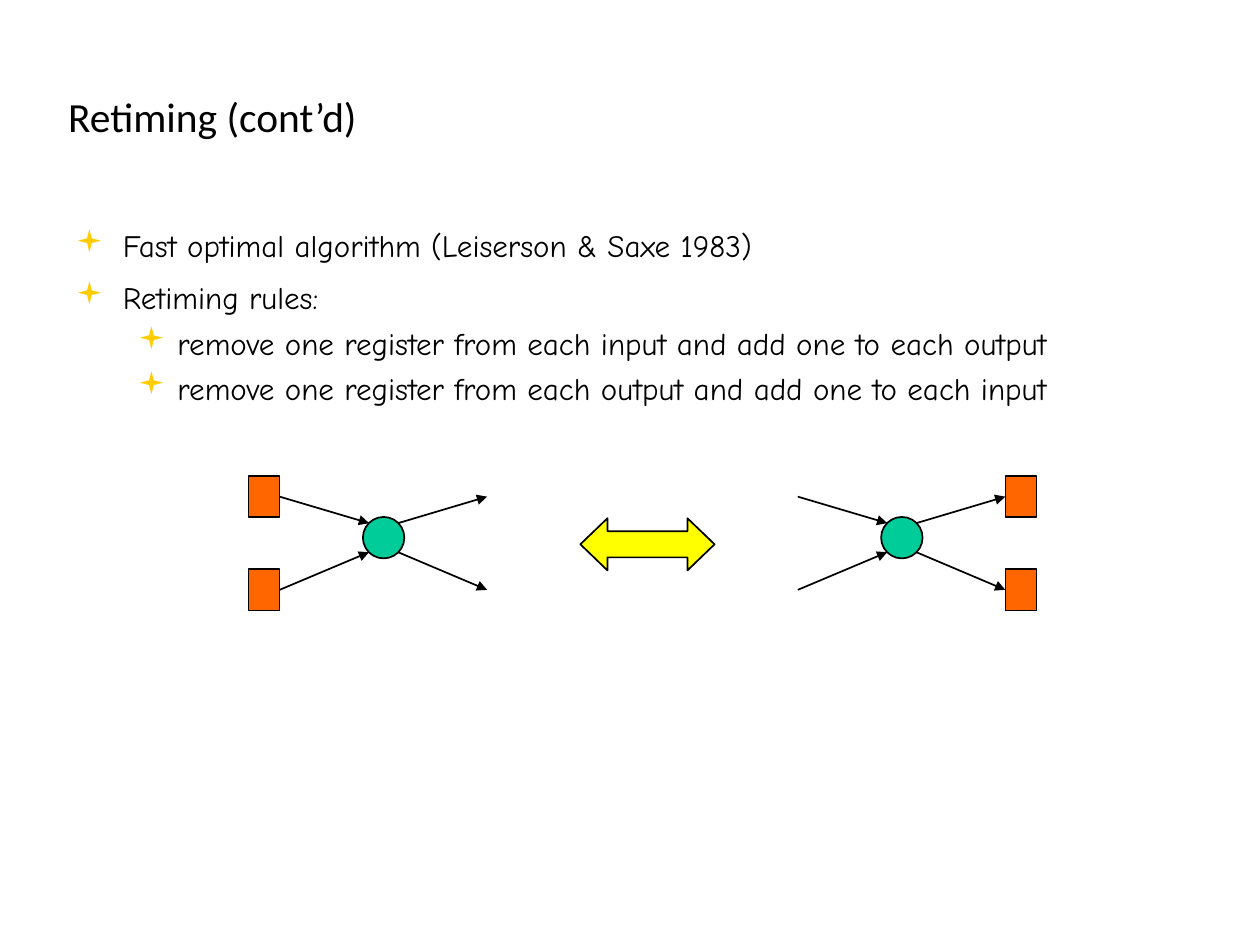
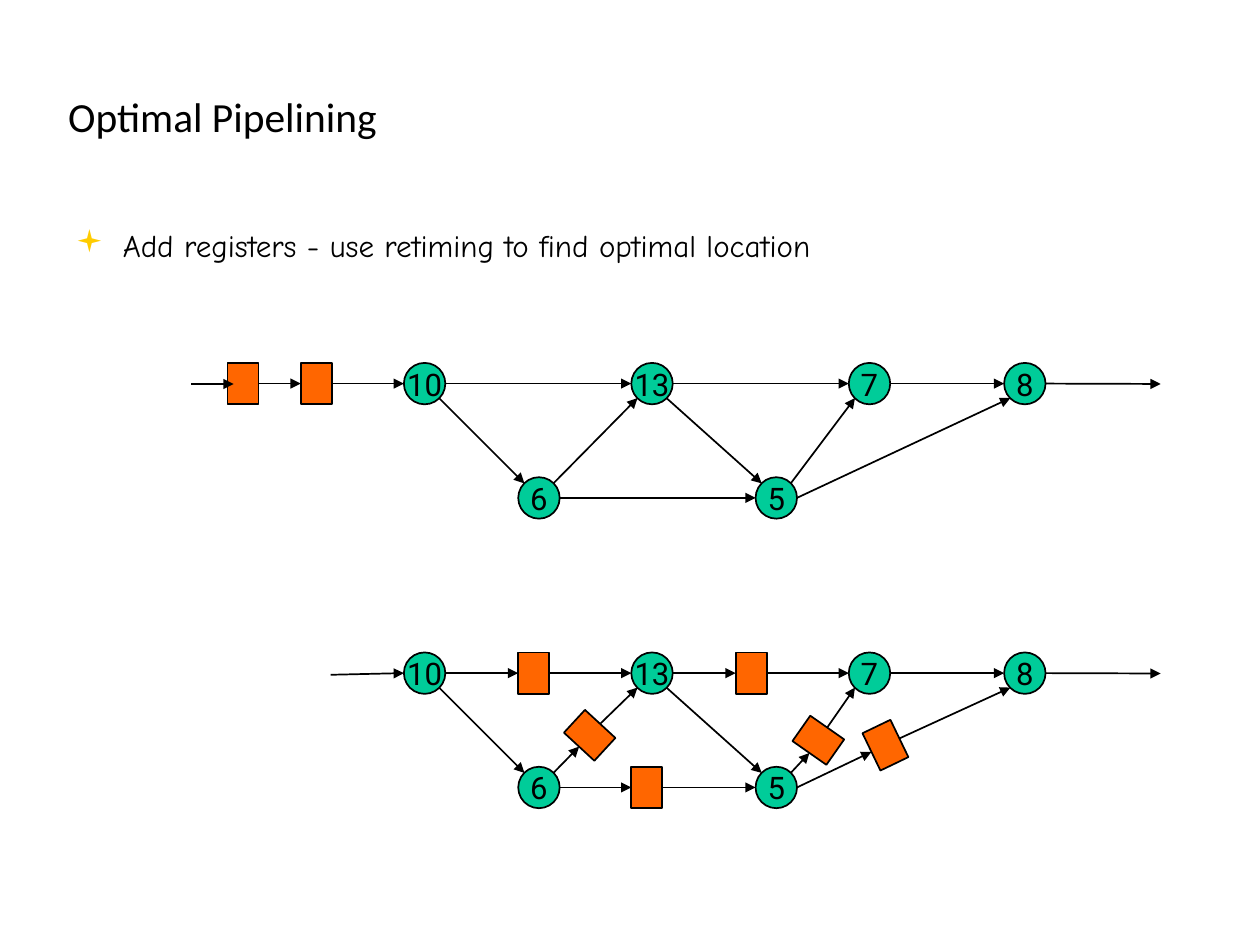
from math import cos, radians, sin

from lxml import etree
from pptx import Presentation
from pptx.dml.color import RGBColor
from pptx.enum.shapes import MSO_CONNECTOR, MSO_SHAPE
from pptx.enum.text import MSO_ANCHOR, PP_ALIGN
from pptx.oxml.ns import qn
from pptx.util import Inches, Pt

STRAIGHT = MSO_CONNECTOR.STRAIGHT
RECT, OVAL, ARROW = MSO_SHAPE.RECTANGLE, MSO_SHAPE.OVAL, MSO_SHAPE.LEFT_RIGHT_ARROW
BOTTOM, MIDDLE, CENTER = MSO_ANCHOR.BOTTOM, MSO_ANCHOR.MIDDLE, PP_ALIGN.CENTER

BLACK = RGBColor(0x00, 0x00, 0x00)
GREEN = RGBColor(0x00, 0xCC, 0x99)
ORANGE = RGBColor(0xFF, 0x66, 0x00)
YELLOW = RGBColor(0xFF, 0xFF, 0x00)
GOLD = RGBColor(0xFF, 0xCC, 0x00)

TITLE_FONT, BODY_FONT, NODE_FONT = "Calibri", "Comic Neue", "Roboto"
BULLET_FONT = "Wingdings"
SLIDE_W, SLIDE_H = 730 / 72, 547.5 / 72
NODE = 1 / 3
REG_W, REG_H = 0.25, 1 / 3
DIAGONAL = 0.35

SITES = {"l": (-0.5, 0), "r": (0.5, 0),
         "tl": (-DIAGONAL, -DIAGONAL), "tr": (DIAGONAL, -DIAGONAL),
         "bl": (-DIAGONAL, DIAGONAL), "br": (DIAGONAL, DIAGONAL)}
RECT_SITES = {"l": 1, "r": 3}
LEVELS = [(0.38, -0.38, 9), (0.82, -0.32, 4.5)]

NODES = {"8": (4.83, 0), "7": (3.58, 0), "13": (1.83, 0), "10": (0, 0),
         "5": (2.83, 0.92), "6": (0.92, 0.92)}
EDGES = [("10", "r", "13", "l"), ("13", "r", "7", "l"), ("7", "r", "8", "l"),
         ("5", "tr", "7", "bl"), ("5", "r", "8", "bl"), ("13", "br", "5", "tl"),
         ("6", "r", "5", "l"), ("6", "tr", "13", "bl"), ("10", "br", "6", "tl")]
RETIMED = {("10", "13"): (0.92, 0, 0), ("13", "7"): (2.67, 0, 0),
           ("6", "5"): (1.83, 0.92, 0), ("6", "13"): (1.37, 0.5, 312.7),
           ("5", "7"): (3.21, 0.54, 305), ("5", "8"): (3.75, 0.58, 334.3)}


def style_run(p, font, size):
    """Format every run of a paragraph."""
    for r in p.runs:
        r.font.name, r.font.size = font, Pt(size)
        r.font.color.rgb = BLACK


def add_text(s, left, top, width, height):
    """Add a wrapping text box and return its frame."""
    tf = s.shapes.add_textbox(Inches(left), Inches(top), Inches(width), Inches(height)).text_frame
    tf.word_wrap = True
    return tf


def add_bullet(p):
    """Give a paragraph the gold square bullet."""
    pPr = p._p.get_or_add_pPr()
    color = etree.SubElement(pPr, qn("a:buClr"))
    etree.SubElement(color, qn("a:srgbClr"), val=str(GOLD))
    etree.SubElement(pPr, qn("a:buFont"), typeface=BULLET_FONT, charset="2")
    etree.SubElement(pPr, qn("a:buChar"), char="▪")


def add_slide(prs, title, bullets):
    """Add a slide with its title and bulleted (level, text) lines."""
    s = prs.slides.add_slide(prs.slide_layouts[6])
    tf = add_text(s, 0.45, 0.25, 8.62, 0.93)
    tf.vertical_anchor = BOTTOM
    tf.text = title
    style_run(tf.paragraphs[0], TITLE_FONT, 24)
    tf = add_text(s, 0.51, 1.77, 9.07, 4.94)
    for i, (level, text) in enumerate(bullets):
        p = tf.add_paragraph() if i else tf.paragraphs[0]
        p.text = text
        p.level = level
        margin, indent, before = LEVELS[level]
        pPr = p._p.get_or_add_pPr()
        pPr.set("marL", str(Inches(margin)))
        pPr.set("indent", str(Inches(indent)))
        add_bullet(p)
        p.space_before = Pt(before if i else 0)
        style_run(p, BODY_FONT, 18)
    return s


def add_solid(s, kind, left, top, width, height, fill):
    """Add a filled shape with a thin black outline."""
    sp = s.shapes.add_shape(kind, Inches(left), Inches(top), Inches(width), Inches(height))
    sp.shadow.inherit = False
    sp.fill.solid()
    sp.fill.fore_color.rgb = fill
    sp.line.color.rgb = BLACK
    sp.line.width = Pt(1)
    return sp


def add_node(s, left, top, label=""):
    """Add a round logic node with an optional delay label."""
    sp = add_solid(s, OVAL, left, top, NODE, NODE, GREEN)
    if label:
        tf = sp.text_frame
        tf.word_wrap = False
        tf.vertical_anchor = MIDDLE
        tf.text = label
        p = tf.paragraphs[0]
        p.alignment = CENTER
        style_run(p, NODE_FONT, 18)
    return sp


def add_register(s, left, top, rotation=0):
    """Add a register block."""
    sp = add_solid(s, RECT, left, top, REG_W, REG_H, ORANGE)
    sp.rotation = rotation
    return sp


def site_point(sp, site):
    """Return the position of a site on a shape, rotation included."""
    dx, dy = SITES[site][0] * sp.width, SITES[site][1] * sp.height
    a = radians(sp.rotation)
    x = sp.left + sp.width / 2 + dx * cos(a) - dy * sin(a)
    y = sp.top + sp.height / 2 + dx * sin(a) + dy * cos(a)
    return round(x), round(y)


def end_point(end):
    """Return the position of a wire end, either (shape, site) or (x, y) in inches."""
    if end[1] in SITES:
        return site_point(*end)
    return Inches(end[0]), Inches(end[1])


def is_register_end(end):
    """Tell whether a wire end lies on a register."""
    return end[1] in SITES and end[0].auto_shape_type == RECT


def add_wire(s, start, end):
    """Draw an arrow between two wire ends, joined to any register it touches."""
    (x1, y1), (x2, y2) = end_point(start), end_point(end)
    cxn = s.shapes.add_connector(STRAIGHT, x1, y1, x2, y2)
    if is_register_end(start):
        cxn.begin_connect(start[0], RECT_SITES[start[1]])
        cxn.begin_x, cxn.begin_y = x1, y1
    if is_register_end(end):
        cxn.end_connect(end[0], RECT_SITES[end[1]])
        cxn.end_x, cxn.end_y = x2, y2
    cxn.line.color.rgb = BLACK
    cxn.line.width = Pt(1)
    etree.SubElement(cxn.line._get_or_add_ln(), qn("a:tailEnd"), type="triangle")
    etree.SubElement(cxn._element.spPr, qn("a:effectLst"))


def add_fan(s, left, top, registers_on_inputs):
    """Draw a node with two inputs and two outputs, registers on one side."""
    node = add_node(s, left + 0.92, top + 0.33)
    for dy, in_site, out_site in [(0, "tl", "tr"), (0.75, "bl", "br")]:
        y = top + dy
        source = (left + 0.25, y + REG_H / 2)
        target = (left + 1.92, y + REG_H / 2)
        if registers_on_inputs:
            source = (add_register(s, left, y), "r")
        else:
            target = (add_register(s, left + 1.92, y), "l")
        add_wire(s, source, (node, in_site))
        add_wire(s, (node, out_site), target)


def add_graph(s, left, top, registers):
    """Draw the six-node graph with registers on the given edges and return its nodes."""
    nodes = {label: add_node(s, left + x, top + y, label) for label, (x, y) in NODES.items()}
    for a, a_site, b, b_site in EDGES:
        start, end = (nodes[a], a_site), (nodes[b], b_site)
        if (a, b) in registers:
            x, y, rotation = registers[a, b]
            reg = add_register(s, left + x, top + y, rotation)
            add_wire(s, start, (reg, "l"))
            start = (reg, "r")
        add_wire(s, start, end)
    add_wire(s, (nodes["8"], "r"), (left + 6.09, top + 0.17))
    return nodes


def build_retiming(prs):
    """Build the slide on retiming rules."""
    s = add_slide(prs, "Retiming (cont’d)", [
        (0, "Fast optimal algorithm (Leiserson & Saxe 1983)"),
        (0, "Retiming rules:"),
        (1, "remove one register from each input and add one to each output"),
        (1, "remove one register from each output and add one to each input")])
    add_fan(s, 2, 3.83, True)
    add_fan(s, 6.17, 3.83, False)
    sp = add_solid(s, ARROW, 4.67, 4.17, 1.08, 0.42, YELLOW)
    sp.adjustments[1] = 0.52


def build_pipelining(prs):
    """Build the slide that compares the graph before and after retiming."""
    s = add_slide(prs, "Optimal Pipelining",
                  [(0, "Add registers - use retiming to find optimal location")])
    left, top = 3.25, 2.92
    nodes = add_graph(s, left, top, {})
    first, second = [add_register(s, left + x, top) for x in (-1.42, -0.83)]
    add_wire(s, (first, "r"), (second, "l"))
    add_wire(s, (second, "r"), (nodes["10"], "l"))
    add_wire(s, (1.54, 3.09), (1.88, 3.09))
    top = 5.25
    nodes = add_graph(s, left, top, RETIMED)
    add_wire(s, (left - 0.59, top + 0.18), (nodes["10"], "l"))


def main():
    """Build and save the presentation."""
    prs = Presentation()
    prs.slide_width, prs.slide_height = Inches(SLIDE_W), Inches(SLIDE_H)
    build_retiming(prs)
    build_pipelining(prs)
    prs.save("out.pptx")


if __name__ == "__main__":
    main()
